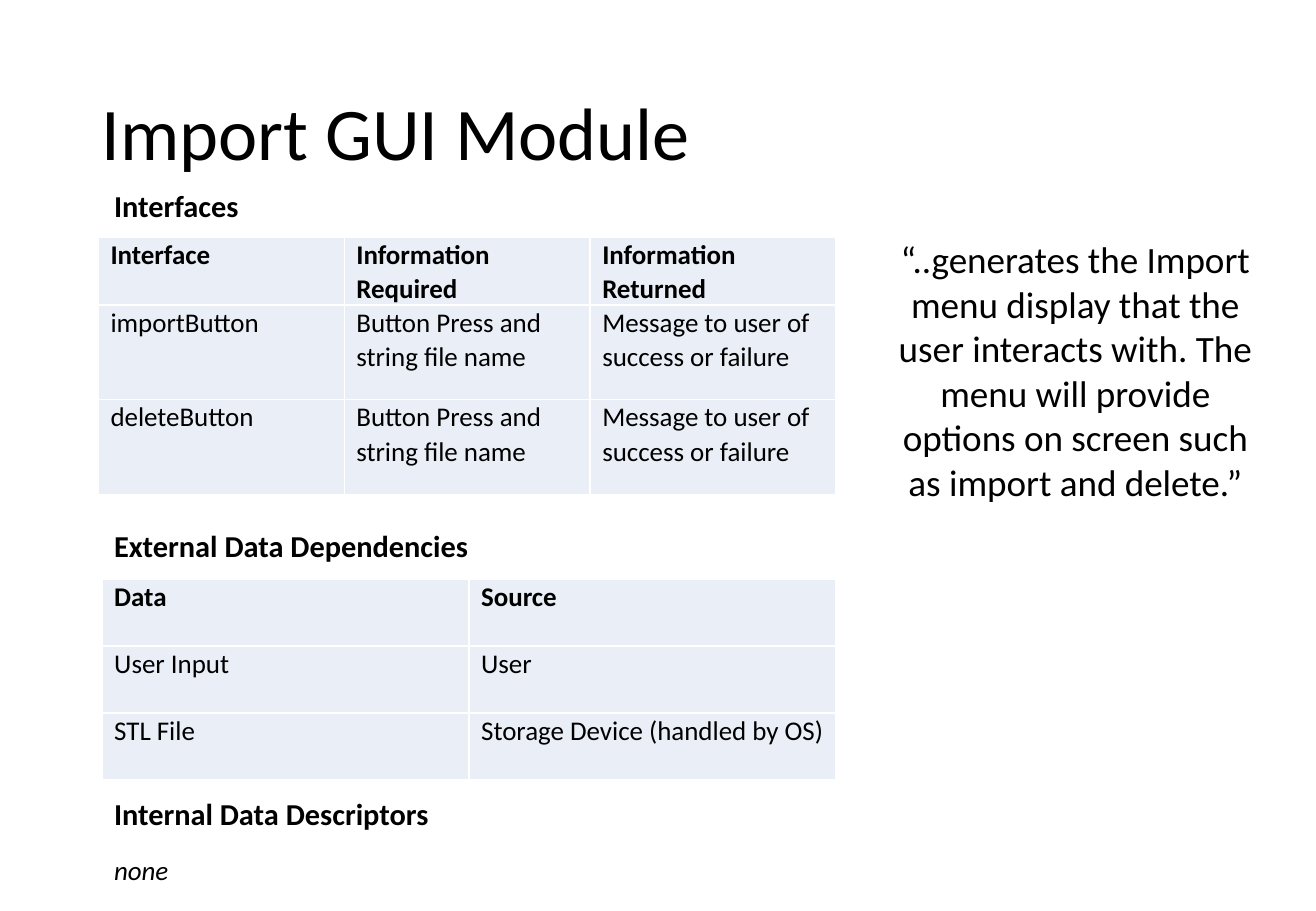
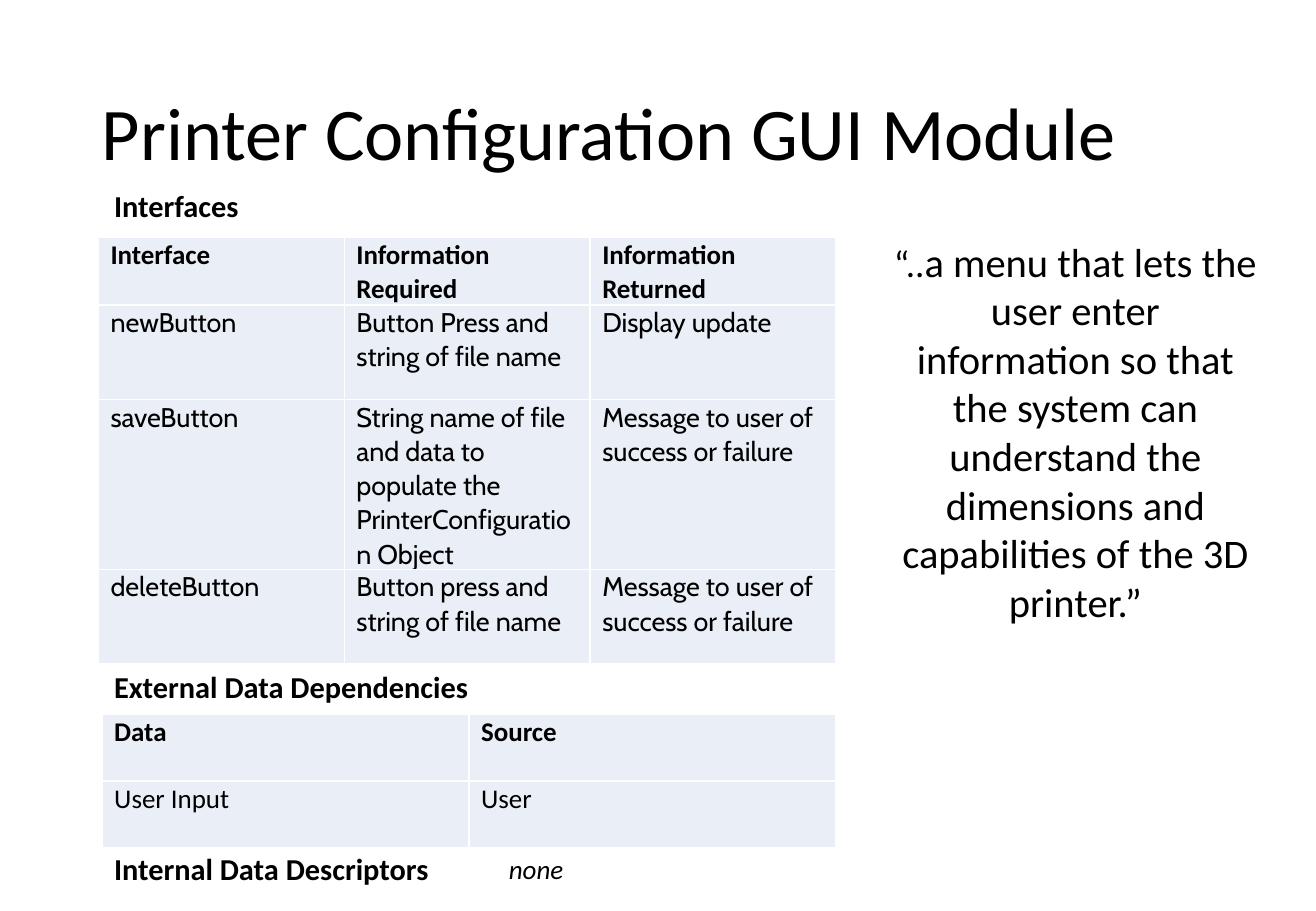
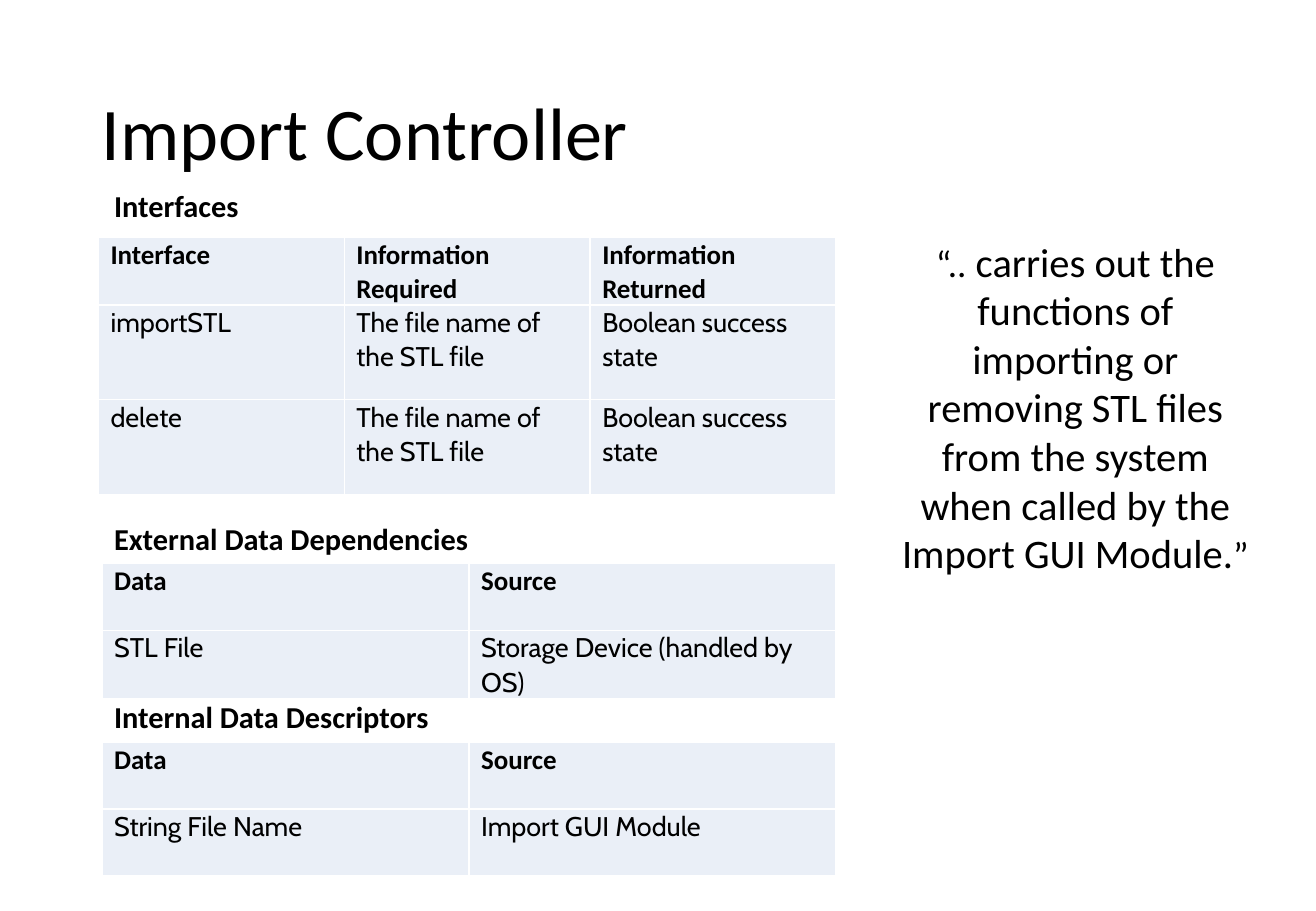
from collections import namedtuple
from dataclasses import dataclass

from lxml.etree import SubElement
from pptx import Presentation
from pptx.dml.color import RGBColor
from pptx.enum.text import MSO_ANCHOR, MSO_AUTO_SIZE, PP_ALIGN
from pptx.oxml.ns import qn
from pptx.util import Inches, Pt

Box = namedtuple("Box", "left top width height")


@dataclass(frozen=True)
class Theme:
    """Colours, fonts and type sizes shared by all slides."""
    ink: RGBColor = RGBColor(0, 0, 0)
    cell: RGBColor = RGBColor(0xEA, 0xEF, 0xF7)
    border: str = "FFFFFF"
    font: str = "Calibri"
    alternate_font: str = "Cabin"
    title: int = 44
    quote: int = 24
    quote_small: int = 22
    heading: int = 18
    body: int = 16


THEME = Theme()
TITLE_BOX = Box(0.74, 0.4, 9.34, 1.45)
INTERFACES_BOX = Box(0.81, 1.95, 6.07, 0.78)
COLUMN_LEFT, COLUMN_WIDTH, DATA_ROW = 0.84, 6.04, 0.55
HEADER_ROW = 0.51
LABEL_HEIGHT = 0.4
INTERFACE_HEADER = ("Interface", "Information Required", "Information Returned")
DATA_HEADER = ("Data", "Source")


def apply(target, **values):
    """Set each named attribute on the target."""
    for name, value in values.items():
        setattr(target, name, value)


def write(paragraph, runs, font=THEME.font, **style):
    """Add (text, size) runs to a paragraph in one style."""
    for text, size in runs:
        run = paragraph.add_run()
        run.text = text
        apply(run.font, name=font, size=Pt(size), **style)
        run.font.color.rgb = THEME.ink


def add_text(slide, box, runs, align=PP_ALIGN.LEFT, spacing=1.0,
             anchor=MSO_ANCHOR.TOP, grow=MSO_AUTO_SIZE.SHAPE_TO_FIT_TEXT, **style):
    """Place a wrapping paragraph in the box."""
    frame = slide.shapes.add_textbox(*map(Inches, box)).text_frame
    apply(frame, word_wrap=True, vertical_anchor=anchor, auto_size=grow)
    paragraph = frame.paragraphs[0]
    apply(paragraph, alignment=align, line_spacing=spacing)
    write(paragraph, runs, **style)


def add_title(slide, box, title):
    """Place the slide title, centred vertically in its box."""
    add_text(slide, box, [(title, THEME.title)], spacing=0.9,
             anchor=MSO_ANCHOR.MIDDLE, grow=MSO_AUTO_SIZE.NONE)


def add_heading(slide, left, top, heading):
    """Place a bold section heading."""
    add_text(slide, Box(left, top, 3.6, LABEL_HEIGHT),
             [(heading, THEME.heading)], bold=True)


def add_none(slide, left, top):
    """Mark a section that has no entries."""
    add_text(slide, Box(left, top, 2.07, 0.37), [("none", THEME.body)], italic=True)


def outline(cell):
    """Draw thin borders on all sides of a cell."""
    properties = cell._tc.get_or_add_tcPr()
    for position, side in enumerate(("lnL", "lnR", "lnT", "lnB")):
        line = SubElement(properties, qn(f"a:{side}"), w=str(Pt(1)))
        fill = SubElement(line, qn("a:solidFill"))
        SubElement(fill, qn("a:srgbClr"), val=THEME.border)
        properties.insert(position, line)


def fill_cell(cell, text, font, header, space_after):
    """Format and fill one table cell."""
    apply(cell, margin_left=Inches(0.1), margin_right=Inches(0.1),
          margin_top=0, margin_bottom=0)
    cell.fill.solid()
    cell.fill.fore_color.rgb = THEME.cell
    outline(cell)
    paragraph = cell.text_frame.paragraphs[0]
    apply(paragraph, line_spacing=1.05, space_after=Pt(space_after),
          alignment=PP_ALIGN.JUSTIFY if header else PP_ALIGN.LEFT)
    write(paragraph, [(text, THEME.body)], font=font, bold=header)


def add_grid(slide, box, header, entries, header_height, font, entry_space):
    """Place a table of equal columns; box.height is the height of one entry."""
    heights = [header_height] + [box.height] * len(entries)
    table = slide.shapes.add_table(
        len(heights), len(header), *map(Inches, box[:3]), Inches(sum(heights))).table
    for column in table.columns:
        column.width = Inches(box.width / len(header))
    for index, texts in enumerate([header, *entries]):
        table.rows[index].height = Inches(heights[index])
        is_header = index == 0
        for cell, text in zip(table.rows[index].cells, texts):
            fill_cell(cell, text, THEME.font if is_header else font,
                      is_header, 8 if is_header else entry_space)


def add_interfaces(slide, box, entries, font):
    """Place the interfaces heading and the table below it."""
    add_heading(slide, COLUMN_LEFT, box.top - 0.46, "Interfaces")
    add_grid(slide, box, INTERFACE_HEADER, entries, HEADER_ROW, font, 8)


def add_data(slide, heading, heading_top, table_top, entries, font):
    """Place a data heading and its two-column table."""
    add_heading(slide, COLUMN_LEFT, heading_top, heading)
    add_grid(slide, Box(COLUMN_LEFT, table_top, COLUMN_WIDTH, DATA_ROW),
             DATA_HEADER, entries, DATA_ROW, font, 0)


def add_module(deck, title, interfaces, external, internal, quote, quote_height,
               interface_font=THEME.font, data_font=THEME.font):
    """Build one module slide: title, sections on the left, quote on the right."""
    slide = deck.slides.add_slide(deck.slide_layouts[6])
    add_title(slide, TITLE_BOX, title)
    add_interfaces(slide, INTERFACES_BOX, interfaces, interface_font)
    add_data(slide, "External Data Dependencies", **external, font=data_font)
    internal_heading = "Internal Data Descriptors"
    if "entries" in internal:
        add_data(slide, internal_heading, **internal, font=data_font)
    else:
        add_heading(slide, COLUMN_LEFT, internal["heading_top"], internal_heading)
        add_none(slide, *internal["none_at"])
    add_text(slide, Box(7.25, 1.9, 3.2, quote_height), quote, align=PP_ALIGN.CENTER)


def main():
    """Build and save the deck."""
    deck = Presentation()
    apply(deck, slide_width=Inches(10.83), slide_height=Inches(7.5))
    outcome = "Message to user of success or failure"
    press = "Button Press and string file name"
    stl_source = ("STL File", "Storage Device (handled by OS)")
    user_source = ("User Input", "User")

    add_module(
        deck, "Import GUI Module",
        interfaces=[("importButton", press, outcome), ("deleteButton", press, outcome)],
        external=dict(heading_top=4.29, table_top=4.77, entries=[user_source, stl_source]),
        internal=dict(heading_top=6.5, none_at=(COLUMN_LEFT, 6.98)),
        quote=[("“..generates the Import menu display that the user interacts with. "
                "The menu will provide options on screen such as import and delete.”",
                THEME.quote_small)],
        quote_height=2.32)

    add_module(
        deck, "Printer Configuration GUI Module",
        interfaces=[
            ("newButton", "Button Press and string of file name", "Display update"),
            ("saveButton", "String name of file and data to populate the "
             "PrinterConfiguration Object", outcome),
            ("deleteButton", "Button press and string of file name", outcome)],
        external=dict(heading_top=5.45, table_top=5.88, entries=[user_source]),
        internal=dict(heading_top=6.95, none_at=(4.09, 6.97)),
        quote=[("“..", THEME.quote_small),
               ("a menu that lets the user enter information so that the system can "
                "understand the dimensions and capabilities of the 3D printer.”",
                THEME.quote)],
        quote_height=3.33, interface_font=THEME.alternate_font)

    file_name, state = "The file name of the STL file", "Boolean success state"
    add_module(
        deck, "Import Controller",
        interfaces=[("importSTL", file_name, state), ("delete", file_name, state)],
        external=dict(heading_top=4.23, table_top=4.64, entries=[stl_source]),
        internal=dict(heading_top=5.7, table_top=6.11,
                      entries=[("String File Name", "Import GUI Module")]),
        quote=[("“..", THEME.quote_small),
               (" carries out the functions of importing or removing STL files from "
                "the system when called by the Import GUI Module.", THEME.quote),
               ("”", THEME.quote_small)],
        quote_height=2.93, interface_font=THEME.alternate_font,
        data_font=THEME.alternate_font)

    deck.save("out.pptx")


main()
